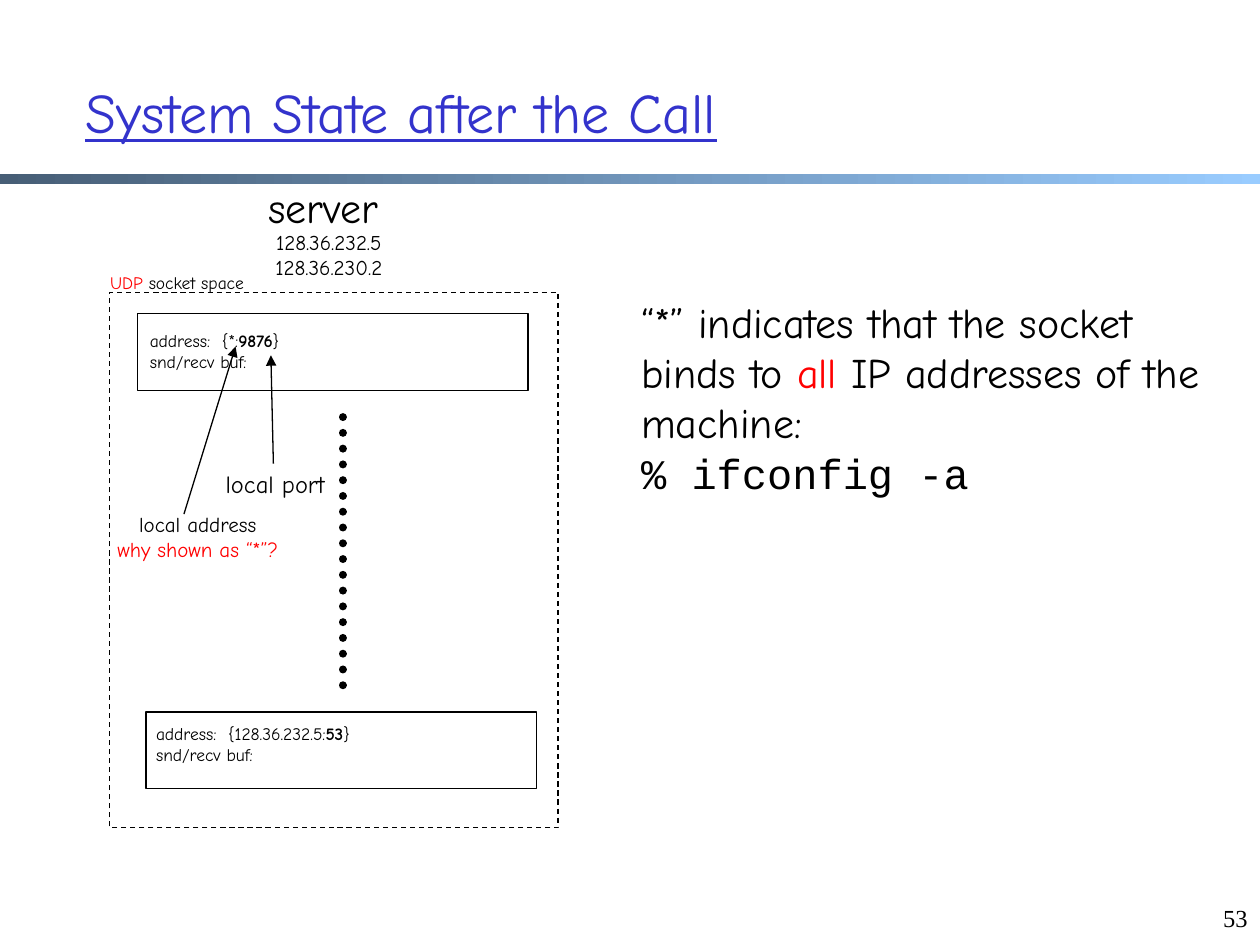
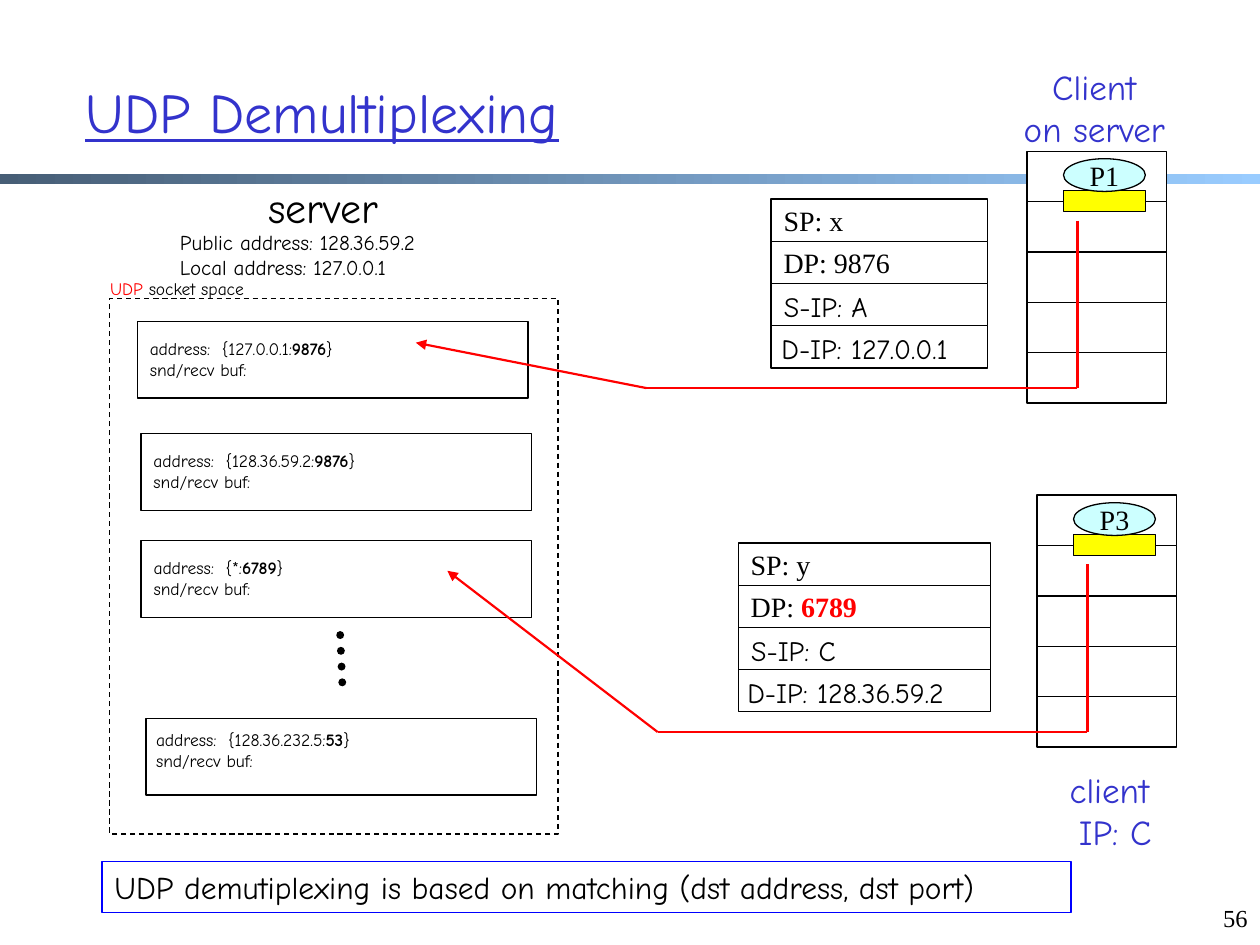
from lxml import etree
from pptx import Presentation
from pptx.dml.color import RGBColor
from pptx.enum import dml, shapes, text
from pptx.oxml.ns import qn
from pptx.util import Inches, Pt

BLACK, WHITE, RED = "000000", "FFFFFF", "FF0000"
INDIGO, BLUE, YELLOW, CYAN = "3333CC", "0000FF", "FFFF00", "CCFFFF"
BAND = ("475E76", "99CCFF")
COMIC, TIMES, COURIER = "Comic Neue", "Times New Roman", "Courier New"
RECT, OVAL = shapes.MSO_SHAPE.RECTANGLE, shapes.MSO_SHAPE.OVAL
LEFT, CENTER, RIGHT = text.PP_ALIGN.LEFT, text.PP_ALIGN.CENTER, text.PP_ALIGN.RIGHT
MIDDLE, TOP = text.MSO_ANCHOR.MIDDLE, text.MSO_ANCHOR.TOP
ROW = 0.335  # pitch of the packet rows
LAYER = 0.4  # pitch of the host layers


def rgb(value):
    return RGBColor.from_string(value)


class Deck:
    def __init__(self):
        self.prs = Presentation()
        self.prs.slide_width, self.prs.slide_height = Inches(10), Inches(7.5)
        self.s = None

    def new_slide(self, title, number):
        self.s = self.prs.slides.add_slide(self.prs.slide_layouts[6])
        band = self.shape((0, 1.38, 10, 0.08), line=None)
        band.fill.gradient()
        band.fill.gradient_angle = 0
        for stop, color in zip(band.fill.gradient_stops, BAND):
            stop.color.rgb = rgb(color)
        self.text((9.5, 7.12, 0.5, 0.5), [number], 14, font=TIMES, align=RIGHT, wrap=True)
        self.text((0.58, 0.26, 9.04, 1.25), [[(title, {"underline": True})]], 32,
                  INDIGO, anchor=MIDDLE, wrap=True)

    def label(self, sp, lines, size, color=BLACK, font=COMIC, align=LEFT,
              anchor=TOP, wrap=False):
        """Fill a shape; a line is a string or a list of strings and (string, style) pairs."""
        tf = sp.text_frame
        tf.word_wrap = wrap
        tf.vertical_anchor = anchor
        for i, line in enumerate(lines):
            p = tf.paragraphs[0] if i == 0 else tf.add_paragraph()
            p.alignment = align
            for part in [line] if isinstance(line, str) else line:
                words, style = (part, {}) if isinstance(part, str) else part
                r = p.add_run()
                r.text = words
                r.font.size = Pt(size)
                r.font.name = style.get("font", font)
                r.font.color.rgb = rgb(style.get("color", color))
                r.font.bold = style.get("bold", False)
                r.font.underline = style.get("underline", False)

    def text(self, box, lines, size, color=BLACK, **style):
        sp = self.s.shapes.add_textbox(*map(Inches, box))
        self.label(sp, lines, size, color, **style)
        if not style.get("wrap"):
            sp.text_frame.auto_size = text.MSO_AUTO_SIZE.SHAPE_TO_FIT_TEXT

    def shape(self, box, fill=None, line=BLACK, kind=RECT):
        sp = self.s.shapes.add_shape(kind, *map(Inches, box))
        sp.shadow.inherit = False
        if fill:
            sp.fill.solid()
            sp.fill.fore_color.rgb = rgb(fill)
        else:
            sp.fill.background()
        if line:
            sp.line.color.rgb = rgb(line)
            sp.line.width = Pt(0.75)
        else:
            sp.line.fill.background()
        return sp

    def line(self, start, end, color=BLACK, width=0.75, arrow=False, dotted=False):
        c = self.s.shapes.add_connector(shapes.MSO_CONNECTOR.STRAIGHT,
                                        *map(Inches, (*start, *end)))
        c.line.color.rgb = rgb(color)
        c.line.width = Pt(width)
        spPr = c.element.spPr
        ln = spPr.find(qn("a:ln"))
        if dotted:
            c.line.dash_style = dml.MSO_LINE.ROUND_DOT
            ln.set("cap", "rnd")
        if arrow:
            etree.SubElement(ln, qn("a:tailEnd"), type="triangle")
        etree.SubElement(spPr, qn("a:effectLst"))

    def server(self, top):
        """Server heading and the dashed socket space that starts at top."""
        self.text((1.96, 1.39, 1.21, 0.5), ["server"], 24, align=CENTER, anchor=MIDDLE)
        self.shape((0.87, top, 3.56, 4.25)).line.dash_style = dml.MSO_LINE.DASH
        self.text((0.73, top - 0.21, 1.35, 0.27),
                  [[("UDP", {"color": RED}), " socket space"]], 10, align=CENTER)
        self.socket(1.16, top + 3.33, 2, "128.36.232.5", "53", -0.02, 0.04)

    def socket(self, x, y, text_width, address, port, dx=0, dy=0.08):
        self.shape((x, y, 3.1, 0.61))
        self.text((x + dx, y + dy, text_width, 0.43),
                  [["address:  {" + address + ":", (port, {"bold": True}), "}"],
                   "snd/recv buf:"], 10)

    def host(self, x, y, process):
        for i in range(5):
            self.shape((x, y + i * LAYER, 1.11, LAYER), WHITE)
        self.shape((x + 0.29, y + 0.31, 0.65, 0.17), YELLOW)
        sp = self.shape((x + 0.29, y + 0.06, 0.65, 0.26), CYAN, kind=OVAL)
        self.label(sp, [process], 16, font=TIMES, align=CENTER, anchor=MIDDLE)

    def packet(self, x, y, width, ports, addresses):
        """Port rows carry their own text; address rows have labels on top."""
        for i in range(4):
            sp = self.shape((x, y + i * ROW, width, ROW), WHITE)
            if i < len(ports):
                self.label(sp, [ports[i]], 16, font=TIMES, anchor=MIDDLE)
        for i, (address, dx, address_width) in enumerate(addresses, len(ports)):
            self.text((x + dx, y + i * ROW, address_width, 0.37), [address], 16)

    def route(self, host_x, host_y, bend_x, target):
        x, y = host_x + 0.4, host_y + 1.88
        self.line((x, host_y + 0.55), (x, y), RED, 1.5)
        self.line((x, y), (bend_x, y), RED, 1.5)
        self.line((bend_x, y), target, RED, 1.25, arrow=True)


def system_state(d):
    d.new_slide("System State after the Call", "53")
    d.server(2.32)
    d.text((2, 1.77, 1.22, 0.5), ["128.36.232.5", "128.36.230.2"], 12, align=CENTER)
    d.socket(1.09, 2.49, 1.39, "*", "9876")
    d.line((2.72, 3.31), (2.72, 5.44), width=4.5, dotted=True)
    d.text((4.99, 2.3, 4.86, 1.72),
           [["“*” indicates that the socket binds to ", ("all", {"color": RED}),
             " IP addresses of the machine:"],
            [("% ifconfig -a", {"font": COURIER})]], 24, wrap=True)
    d.line((1.46, 4.08), (1.87, 2.75), arrow=True)
    d.text((0.77, 4.01, 1.6, 0.51),
           ["local address", [("why shown as “*”?", {"color": RED})]], 12, align=CENTER)
    d.line((2.17, 3.68), (2.15, 2.82), arrow=True)
    d.text((1.65, 3.67, 1.07, 0.34), ["local port"], 14, align=CENTER)


def demultiplexing(d):
    d.new_slide("UDP Demultiplexing", "56")
    d.server(2.37)
    d.text((1.33, 1.77, 2.35, 0.51),
           ["Public address: 128.36.59.2", "Local address: 127.0.0.1"], 12)
    d.socket(1.09, 2.55, 1.91, "127.0.0.1", "9876")
    d.socket(1.12, 3.44, 2.1, "128.36.59.2", "9876")
    d.socket(1.12, 4.29, 1.41, "*", "6789")
    d.line((2.7, 5.04), (2.72, 5.49), width=4.5, dotted=True)
    rule = d.shape((0.81, 6.84, 7.69, 0.4), line=BLUE)
    d.label(rule, ["UDP demutiplexing is based on matching (dst address, dst port)"], 18,
            wrap=True)

    local_host, remote_host = (8.15, 1.2), (8.23, 3.93)
    d.host(*local_host, "P1")
    d.text((7.97, 0.47, 1.43, 0.77), ["Client", "on server"], 20, INDIGO, align=CENTER)
    d.packet(6.12, 1.58, 1.72, ["SP: x", "DP: 9876"],
             [(" S-IP: A", -0.07, 1.06), (" D-IP: 127.0.0.1", -0.09, 1.82)])
    d.route(*local_host, 5.13, (3.3, 2.72))

    d.host(*remote_host, "P3")
    d.text((8.34, 6.05, 0.93, 0.77), ["client", " IP: C"], 20, INDIGO, align=CENTER)
    d.packet(5.86, 4.31, 2, ["SP: y", ["DP: ", ("6789", {"color": RED, "bold": True})]],
             [(" S-IP: C", -0.07, 1.03), (" D-IP: 128.36.59.2", -0.1, 2.12)])
    d.route(*remote_host, 5.22, (3.55, 4.53))


def main():
    d = Deck()
    system_state(d)
    demultiplexing(d)
    d.prs.save("out.pptx")


if __name__ == "__main__":
    main()
